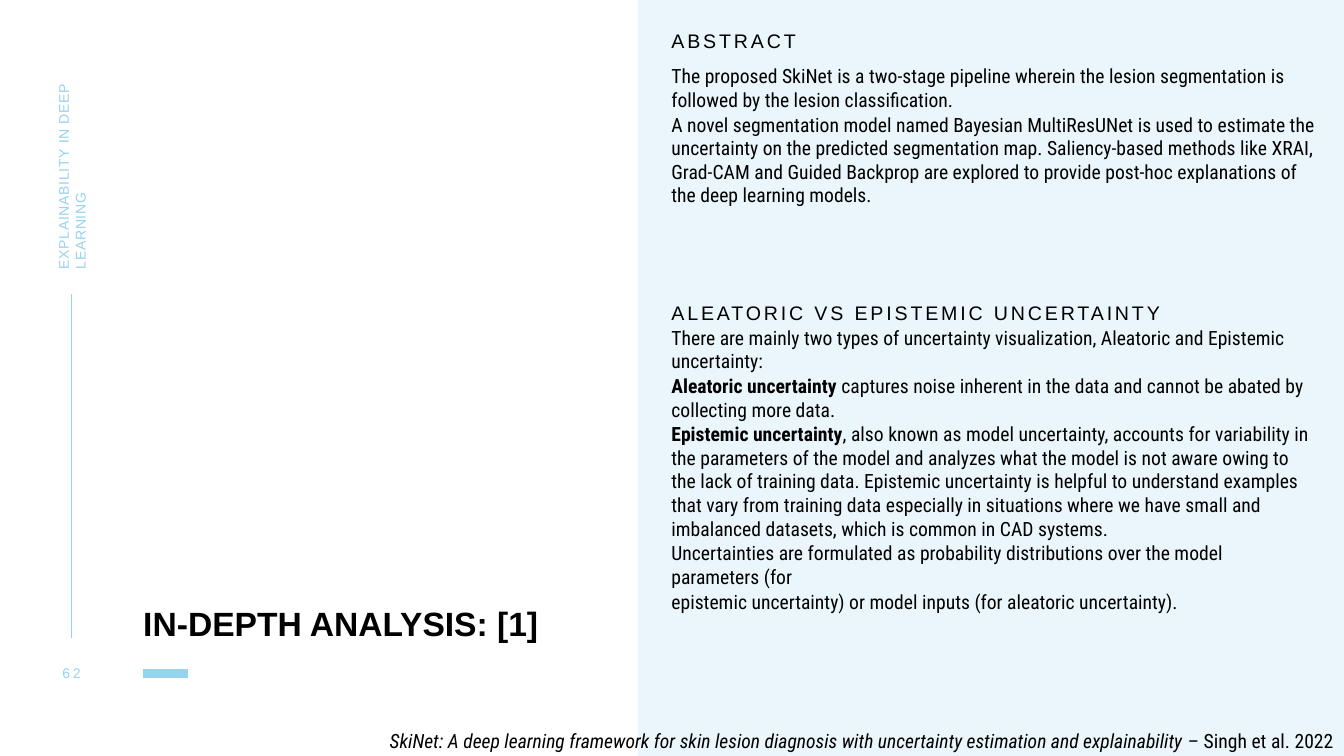
from collections import namedtuple
from dataclasses import dataclass

from lxml.etree import SubElement
from pptx import Presentation
from pptx.dml.color import RGBColor
from pptx.enum.shapes import MSO_CONNECTOR, MSO_SHAPE
from pptx.enum.text import MSO_ANCHOR, MSO_AUTO_SIZE, PP_ALIGN
from pptx.oxml.ns import qn
from pptx.util import Cm, Pt

Box = namedtuple("Box", "x y w h")


@dataclass(frozen=True)
class Theme:
    ink: RGBColor = RGBColor(0, 0, 0)
    sky: RGBColor = RGBColor(0x96, 0xD3, 0xED)
    pale: RGBColor = RGBColor(0xEA, 0xF6, 0xFB)
    head: str = "Arial"
    body: str = "Roboto Condensed"
    large: int = 24
    text: int = 14
    small: int = 10


THEME = Theme()

ABSTRACT = [
    ["The proposed SkiNet is a two-stage pipeline wherein the lesion segmentation "
     "is followed by the lesion classification."],
    ["A novel segmentation model named Bayesian MultiResUNet is used to estimate "
     "the uncertainty on the predicted segmentation map. Saliency-based methods "
     "like XRAI, Grad-CAM and Guided Backprop are explored to provide post-hoc "
     "explanations of the deep learning models."],
]
TYPES = [
    ["There are mainly two types of uncertainty visualization, Aleatoric and "
     "Epistemic uncertainty:"],
    ["Aleatoric uncertainty ",
     "captures noise inherent in the data and cannot be abated by collecting "
     "more data."],
    ["Epistemic uncertainty",
     ", also known as model uncertainty, accounts for variability in the "
     "parameters of the model and analyzes what the model is not aware owing to "
     "the lack of training data. Epistemic uncertainty is helpful to understand "
     "examples that vary from training data especially in situations where we "
     "have small and imbalanced datasets, which is common in CAD systems."],
    ["Uncertainties are formulated as probability distributions over the model "
     "parameters (for"],
    ["epistemic uncertainty) or model inputs (for aleatoric uncertainty)."],
]


def place(shape, box):
    shape.left, shape.top, shape.width, shape.height = map(Cm, box)


def style(run, size, face, color, bold=False, italic=False, track=0):
    """Format a run; track is the letter spacing in points."""
    font = run.font
    font.size, font.name = Pt(size), face
    font.bold, font.italic = bold, italic
    font.color.rgb = color
    if track:
        font._element.set("spc", str(round(track * 100)))


def fill(shape, box, paras, anchor, align=PP_ALIGN.LEFT, inset=True):
    """Place a text shape and write paragraphs, each a list of run texts."""
    place(shape, box)
    frame = shape.text_frame
    frame.word_wrap = True
    frame.auto_size = MSO_AUTO_SIZE.NONE
    frame.vertical_anchor = anchor
    if not inset:
        frame.margin_left = frame.margin_right = 0
        frame.margin_top = frame.margin_bottom = 0
    for num, parts in enumerate(paras):
        para = frame.add_paragraph() if num else frame.paragraphs[0]
        para.alignment = align
        para.space_before = Pt(1 if num else 0)
        props = para._p.get_or_add_pPr()
        props.set("marL", "0")
        props.set("indent", "0")
        SubElement(props, qn("a:buNone"))
        for part in parts:
            para.add_run().text = part
    return frame.paragraphs


def label(shape, box, text, size, color, anchor, align=PP_ALIGN.LEFT,
          bold=False, track=0):
    """Write one line of heading type without insets."""
    para = fill(shape, box, [[text]], anchor, align, inset=False)[0]
    style(para.runs[0], size, THEME.head, color, bold, track=track)
    return para


def rule(slide, x, y, dx, dy, width):
    line = slide.shapes.add_connector(
        MSO_CONNECTOR.STRAIGHT, Cm(x), Cm(y), Cm(x + dx), Cm(y + dy))
    line.line.color.rgb = THEME.sky
    line.line.width = Pt(width)
    SubElement(line._element.spPr, qn("a:effectLst"))


def panel(slide, box):
    shape = slide.shapes.add_shape(MSO_SHAPE.RECTANGLE, *map(Cm, box))
    shape.shadow.inherit = False
    shape.fill.solid()
    shape.fill.fore_color.rgb = THEME.pale
    shape.line.fill.background()
    slide.shapes._spTree.insert(2, shape._element)  # behind the text


def textbox(slide):
    return slide.shapes.add_textbox(0, 0, Cm(1), Cm(1))


def sidebar(slide, box):
    """Running title, vertical rule and page number."""
    mid = box.x + box.w / 2
    span, thick = 6.53, 0.69
    side = textbox(slide)
    side.rotation = 270
    label(side, Box(mid - span / 2, box.y + (span - thick) / 2, span, thick),
          "EXPLAINABILITY IN DEEP LEARNING", THEME.small, THEME.sky,
          MSO_ANCHOR.MIDDLE, track=0.5)
    rule(slide, mid, box.y + 7.17, 0, 8.66, 1)
    label(textbox(slide), Box(box.x, box.y + box.h - 0.51, box.w, 0.51), "62",
          THEME.small, THEME.sky, MSO_ANCHOR.MIDDLE, PP_ALIGN.CENTER, track=2)


def title(slide, box):
    label(slide.shapes.title, box, "IN-DEPTH ANALYSIS: [1]", THEME.large,
          THEME.ink, MSO_ANCHOR.BOTTOM, bold=True).line_spacing = 0.9
    rule(slide, box.x, box.y + box.h + 0.74, 1.14, 0, 7)


def section(slide, box, first, head, paras, gap):
    """Fill a heading and body pair of placeholders, starting at index first."""
    holders = slide.placeholders
    tall = 0.84
    label(holders[first], Box(box.x, box.y, 13.74, tall), head, THEME.text,
          THEME.ink, MSO_ANCHOR.BOTTOM, track=2).line_spacing = Pt(17.2)
    top = tall + gap
    body = Box(box.x, box.y + top, box.w, box.h - top)
    for para in fill(holders[first + 1], body, paras, MSO_ANCHOR.TOP, inset=False):
        lead = len(para.runs) > 1
        for num, run in enumerate(para.runs):
            style(run, THEME.text, THEME.body, THEME.ink, bold=lead and num == 0)


def source(slide, box):
    parts = ["SkiNet: A deep learning framework for skin lesion diagnosis with "
             "uncertainty estimation and explainability", " – Singh et al. 2022"]
    para = fill(textbox(slide), box, [parts], MSO_ANCHOR.TOP, PP_ALIGN.RIGHT)[0]
    for num, run in enumerate(para.runs):
        style(run, THEME.text, THEME.body, THEME.ink, italic=num == 0)


def main():
    deck = Presentation()
    deck.slide_width, deck.slide_height = Cm(33.87), Cm(19.05)
    slide = deck.slides.add_slide(deck.slide_layouts.get_by_name("Comparison"))
    panel(slide, Box(16.08, 0, 17.79, 19.05))
    sidebar(slide, Box(1.17, 0.25, 1.27, 16.97))
    title(slide, Box(3.61, 11.15, 11.56, 5.08))
    section(slide, Box(16.92, 0.48, 16.23, 5.09), 1, "ABSTRACT", ABSTRACT, 0.3)
    section(slide, Box(16.92, 7.34, 16.23, 9.15), 3,
            "ALEATORIC VS EPISTEMIC UNCERTAINTY", TYPES, 0.02)
    source(slide, Box(2.69, 18.24, 31.17, 0.86))
    deck.save("out.pptx")


if __name__ == "__main__":
    main()
